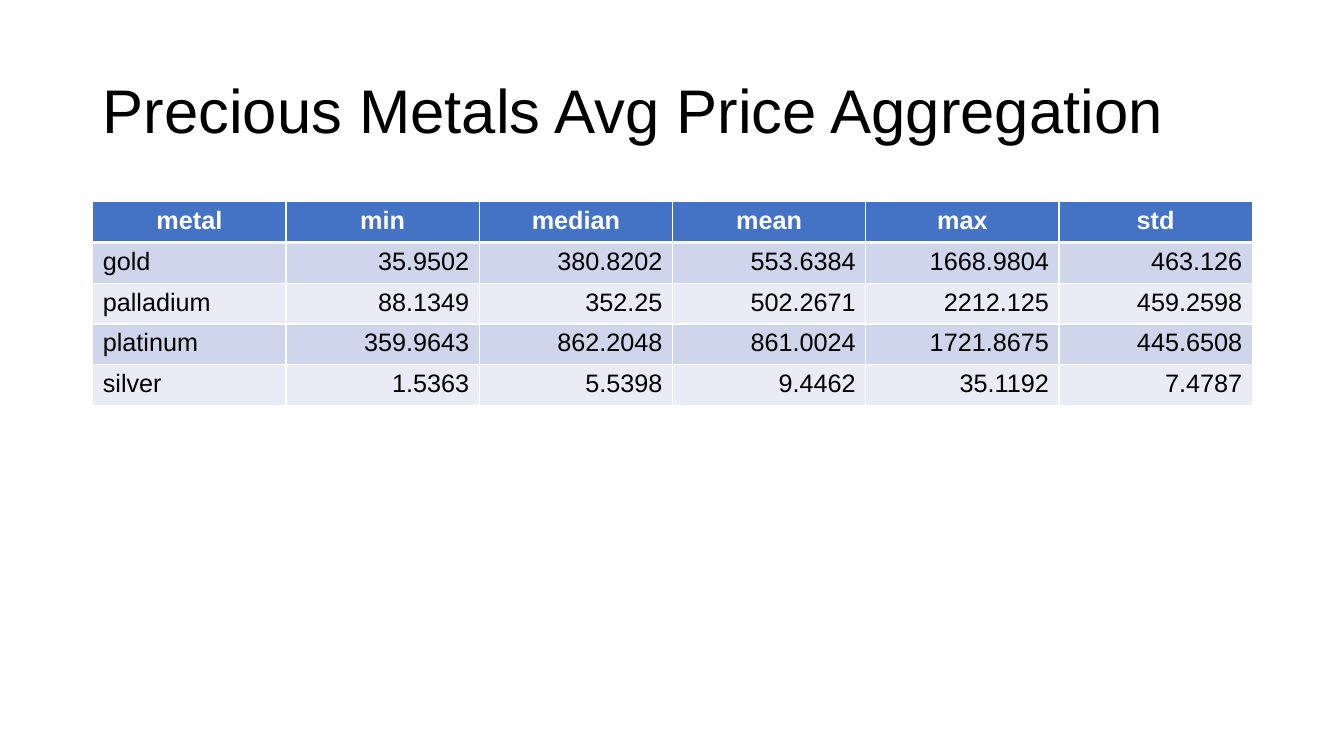
import pptx
import pptx.dml.color
import pptx.enum.text
import pptx.oxml
import pptx.oxml.ns
import pptx.util

RGBColor = pptx.dml.color.RGBColor
ALIGN = pptx.enum.text.PP_ALIGN

BLACK = RGBColor(0x00, 0x00, 0x00)
WHITE = RGBColor(0xFF, 0xFF, 0xFF)
HEADER_BLUE = RGBColor(0x44, 0x72, 0xC4)
BANDS = RGBColor(0xCF, 0xD5, 0xEA), RGBColor(0xE9, 0xEB, 0xF5)

FONT = "Arial"
SLIDE_W = pptx.util.Inches(13.33)
SLIDE_H = pptx.util.Inches(7.5)
MARGIN = pptx.util.Inches(0.92)
CONTENT_W = pptx.util.Inches(11.5)
ROW_H = pptx.util.Inches(0.405)

HEADERS = ["metal", "min", "median", "mean", "max", "std"]
PRICES = [
    ["gold", "35.9502", "380.8202", "553.6384", "1668.9804", "463.126"],
    ["palladium", "88.1349", "352.25", "502.2671", "2212.125", "459.2598"],
    ["platinum", "359.9643", "862.2048", "861.0024", "1721.8675", "445.6508"],
    ["silver", "1.5363", "5.5398", "9.4462", "35.1192", "7.4787"],
]


def set_text(tf, text, size, color, align=ALIGN.LEFT, bold=False):
    tf.text = text
    p = tf.paragraphs[0]
    p.alignment = align
    font = p.runs[0].font
    font.name = FONT
    font.size = pptx.util.Pt(size)
    font.bold = bold
    font.color.rgb = color


def add_title(s, text):
    sp = s.shapes.add_textbox(MARGIN, pptx.util.Inches(0.4), CONTENT_W, pptx.util.Inches(1.45))
    tf = sp.text_frame
    tf.word_wrap = True
    tf.vertical_anchor = pptx.enum.text.MSO_ANCHOR.MIDDLE
    set_text(tf, text, 44, BLACK)
    tf.paragraphs[0].line_spacing = 0.9


def set_borders(cell, top, bottom):
    tc_pr = cell._tc.get_or_add_tcPr()
    for side, width in {"L": 1, "R": 1, "T": top, "B": bottom}.items():
        tc_pr.append(pptx.oxml.parse_xml(
            f'<a:ln{side} {pptx.oxml.ns.nsdecls("a")} w="{pptx.util.Pt(width)}">'
            f'<a:solidFill><a:srgbClr val="{WHITE}"/></a:solidFill></a:ln{side}>'))


def fill_cell(cell, text, row, col):
    header = row == 0
    set_borders(cell, top=3 if row == 1 else 1, bottom=3 if header else 1)
    cell.fill.solid()
    cell.fill.fore_color.rgb = HEADER_BLUE if header else BANDS[(row - 1) % 2]
    align = ALIGN.CENTER if header else ALIGN.RIGHT if col else ALIGN.LEFT
    set_text(cell.text_frame, text, 18, WHITE if header else BLACK, align, header)


def add_price_table(s, rows):
    table = s.shapes.add_table(len(rows), len(rows[0]), MARGIN, pptx.util.Inches(2),
                               CONTENT_W, ROW_H * len(rows)).table
    for i, values in enumerate(rows):
        for j, value in enumerate(values):
            fill_cell(table.cell(i, j), value, i, j)


def main():
    prs = pptx.Presentation()
    prs.slide_width = SLIDE_W
    prs.slide_height = SLIDE_H
    s = prs.slides.add_slide(prs.slide_layouts[6])
    add_title(s, "Precious Metals Avg Price Aggregation")
    add_price_table(s, [HEADERS] + PRICES)
    prs.save("out.pptx")


main()
